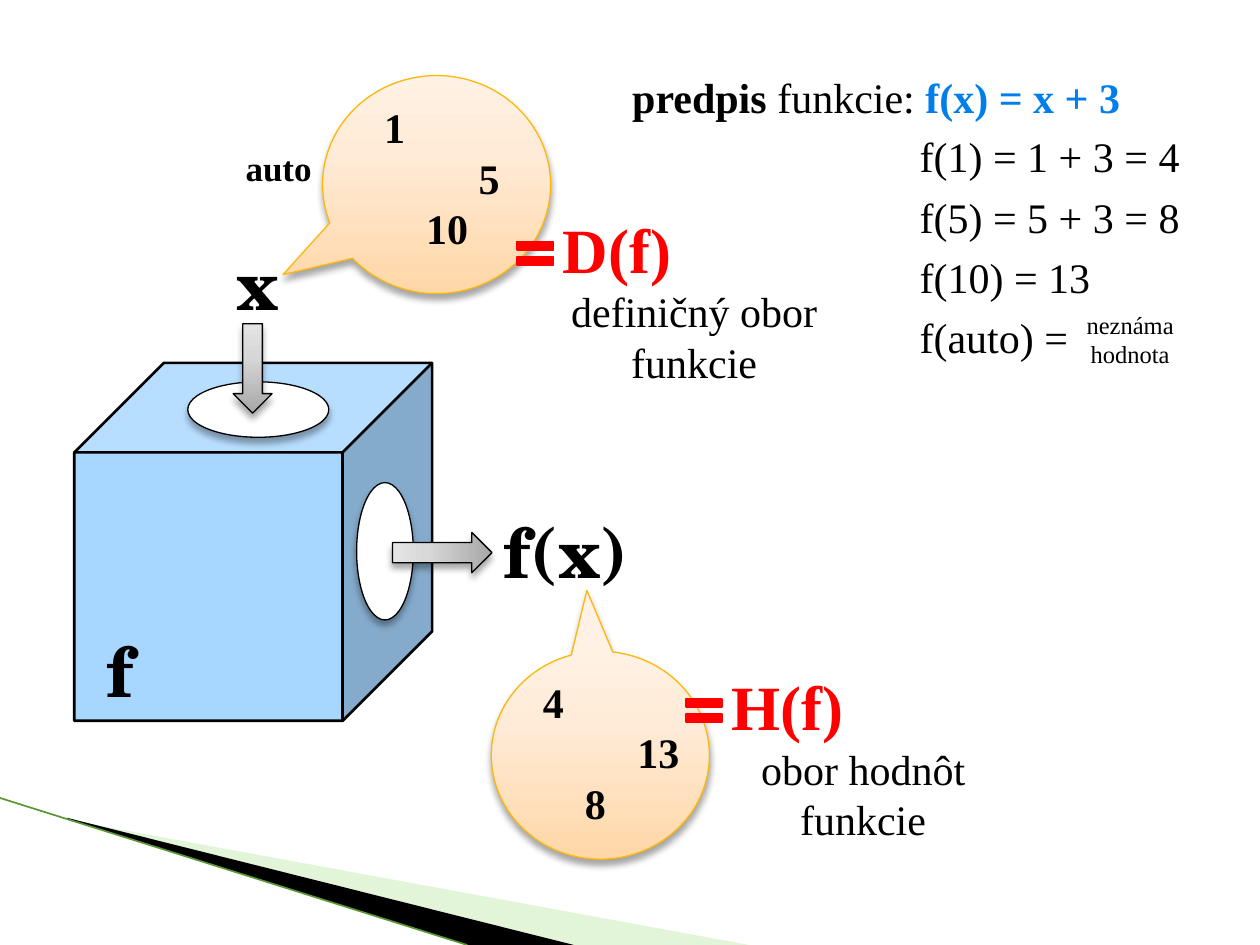
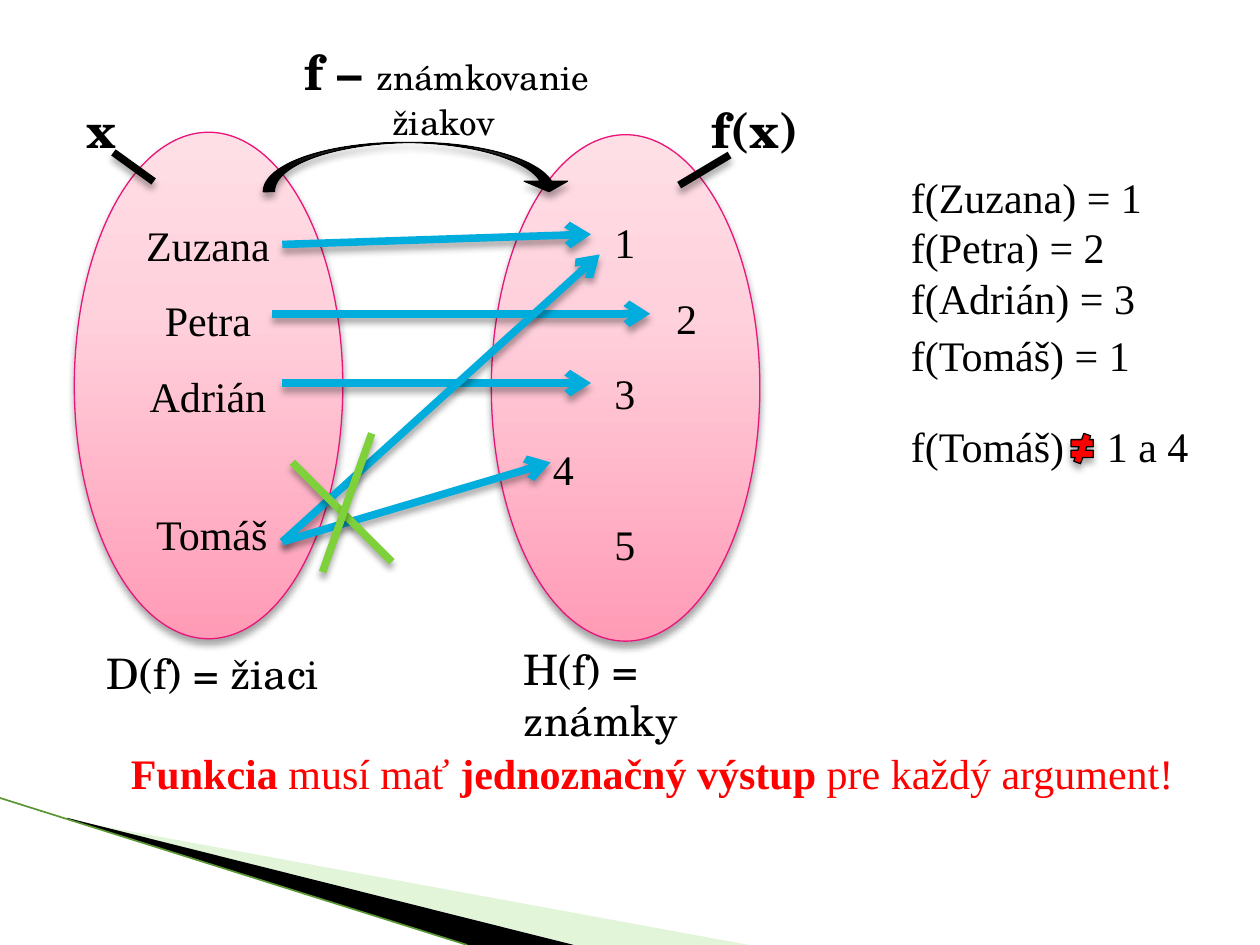
from lxml.etree import SubElement
from pptx import Presentation
from pptx.dml.color import RGBColor
from pptx.enum.shapes import MSO_CONNECTOR, MSO_SHAPE
from pptx.enum.text import PP_ALIGN
from pptx.oxml.ns import qn
from pptx.util import Pt

# Shared look
SERIF, SCHOOL = "Times New Roman", "TeX Gyre Schola"
BLACK, WHITE, RED = "000000", "FFFFFF", "FF0000"
FORMULA_BLUE, ARROW_BLUE, CROSS_GREEN = "007EEB", "00ADDC", "7FD13B"
CUBE_BLUE, ORANGE, PINK = "A7D6FF", "FEB80A", "EA157A"
GREY_BLEND = [(0, "A7A7A7"), (65, "D8D8D8"), (100, "E4E4E4")]
ORANGE_BLEND = [(0, "FFD7A7"), (65, "FFEBD7"), (100, "FFF1E3")]
PINK_BLEND = [(0, "FF9BB6"), (65, "FFD1DC"), (100, "FFDFE6")]
BLACK_BLEND = [(0, BLACK), (50, BLACK), (70, "1D1D1D"), (100, "424242")]
THICK = 4.33

# Corner bands: outline, colour, opacity in percent
BANDS = [
    ([(39.6, 468.7), (428, 540), (328.3, 540), (39.6, 468)], "B8E7A1", 40),
    ([(38.2, 467.3), (328, 540), (267.5, 540), (38.9, 468)], BLACK, 100),
]
BAND_EDGE, BAND_EDGE_COLOR = ((0, 456), (267, 540)), "5A9632"

# Slide 1: a function as a machine
RULE = [("predpis", {"bold": True}), (" funkcie: ", {}),
        ("f(x) = x + 3", {"bold": True, "color": FORMULA_BLUE})]
RESULTS = ["f(1) = 1 + 3 = 4", "f(5) = 5 + 3 = 8", "f(10) = 13", "f(auto) ="]
UNKNOWN = "neznáma hodnota"
MACHINE_LABELS = [
    ("x", (121.7, 133.9, 51.1), PP_ALIGN.CENTER),
    ("f(x)", (280.8, 287.3, 90.7), None),
    ("f", (54, 355, 39.6), None),
]
# Callout frame, pointer, numbers, numbers' place, set name, meaning, name's place
SETS = [
    ((184.3, 43.2, 130.3, 124.6), (-0.673, 0.413), ["1", "5", "10"],
     (212.4, 54.7), "D(f)", "definičný obor funkcie", (314.6, 116.6)),
    ((280.8, 372.2, 124.6, 118.8), (-0.062, -0.793), ["4", "13", "8"],
     (303.1, 383), "H(f)", "obor hodnôt funkcie", (411.1, 378)),
]
NUMBER_INDENTS = [0, 54, 24]

# Slide 2: pupils and their marks
# Oval corner, label, label's place, tick ends
OVALS = [
    ((42.5, 75.6), "x", (42.5, 53.3, 45.4), ((64.8, 87.1), (87.8, 103.7))),
    ((280.8, 77), "f(x)", (399.6, 53.3, 79.2), ((416.9, 88.6), (388.1, 105.8))),
]
PUPILS = ["Zuzana", "Petra", "Adrián"]
MARKS = [("1", PP_ALIGN.CENTER), ("2", PP_ALIGN.RIGHT), ("3", PP_ALIGN.CENTER),
         ("4", PP_ALIGN.LEFT), ("5", PP_ALIGN.CENTER)]
MAPPING = [[("f – ", {"size": 28, "bold": True}), ("známkovanie", {})], "žiakov"]
VALUES = ["f(Zuzana) = 1", "f(Petra) = 2", "f(Adrián) = 3"]
CONCLUSION = [("Funkcia", {"bold": True}), (" musí mať ", {}),
              ("jednoznačný výstup ", {"bold": True}), ("pre každý argument!", {})]
TOMAS_START = (161.3, 309.6)
ARROWS = [
    ((161.3, 139.7), (337.7, 133.9)),
    ((155.5, 179.3), (371.5, 179.3)),
    ((161.3, 218.9), (337.7, 218.9)),
    (TOMAS_START, (342.7, 145.4)),
    (TOMAS_START, (314.6, 264.2)),
]
CROSS = [((167, 264.2), (223.9, 321.1)), ((212.4, 247.7), (184.3, 326.9))]


def rgb(color):
    return RGBColor.from_string(color)


def points(values):
    return [Pt(value) for value in values]


def set_effects(shape, shadow):
    """Replace the theme effects by a soft shadow or by none."""
    properties = shape._element.spPr
    effects = SubElement(properties, qn("a:effectLst"))
    if shadow:
        outer = SubElement(effects, qn("a:outerShdw"), blurRad=str(Pt(4)),
                           dist=str(Pt(3)), dir="5400000", rotWithShape="0")
        tint = SubElement(outer, qn("a:srgbClr"), val=BLACK)
        SubElement(tint, qn("a:alpha"), val="35000")


def paint(shape, fill, line=None, weight=0.75, shadow=False):
    """Fill is one colour, or a list of gradient stops from the bottom up."""
    if isinstance(fill, str):
        shape.fill.solid()
        shape.fill.fore_color.rgb = rgb(fill)
    else:
        shape.fill.gradient()
        shape.fill.gradient_angle = 90
        stops = shape._element.spPr.find(qn("a:gradFill")).find(qn("a:gsLst"))
        for stop in list(stops):
            stops.remove(stop)
        for position, color in fill:
            stop = SubElement(stops, qn("a:gs"), pos=str(position * 1000))
            SubElement(stop, qn("a:srgbClr"), val=color)
    if line:
        shape.line.color.rgb = rgb(line)
        shape.line.width = Pt(weight)
    else:
        shape.line.fill.background()
    set_effects(shape, shadow)


def add_figure(page, kind, frame, fill, line, weight=0.75, shadow=True,
               turn=0, adjust=()):
    shape = page.shapes.add_shape(kind, *points(frame))
    shape.rotation = turn
    for index, value in enumerate(adjust):
        shape.adjustments[index] = value
    paint(shape, fill, line, weight, shadow)


def add_line(page, ends, color, weight=THICK, shadow=True, arrow=False):
    start, end = ends
    line = page.shapes.add_connector(MSO_CONNECTOR.STRAIGHT, *points(start + end))
    line.line.color.rgb = rgb(color)
    line.line.width = Pt(weight)
    if arrow:
        SubElement(line._element.spPr.find(qn("a:ln")), qn("a:tailEnd"), type="arrow")
    set_effects(line, shadow)


def style_font(font, size=None, name=None, color=None, bold=None):
    if size:
        font.size = Pt(size)
    if name:
        font.name = name
    if color:
        font.color.rgb = rgb(color)
    if bold is not None:
        font.bold = bold


def write(para, content, size=24, name=SERIF, color=BLACK, bold=False,
          align=None, spacing=None, indent=0, tab=None):
    """Content is a string, or a list of (text, font changes)."""
    if align is not None:
        para.alignment = align
    if spacing:
        para.line_spacing = spacing
    properties = para._p.get_or_add_pPr()
    if indent:
        properties.set("marL", str(Pt(indent)))
    if tab:
        stops = SubElement(properties, qn("a:tabLst"))
        SubElement(stops, qn("a:tab"), pos=str(Pt(tab)), algn="l")
    style_font(para.font, size, name, color, bold)
    runs = [(content, {})] if isinstance(content, str) else content
    for text, changes in runs:
        span = para.add_run()
        span.text = text
        style_font(span.font, **changes)


def add_text(page, place, lines, height=36.7, wrap=True, **style):
    """Each line is its content, or a pair of content and own style."""
    box = page.shapes.add_textbox(*points((*place, height)))
    frame = box.text_frame
    frame.word_wrap = wrap
    for index, line in enumerate(lines):
        content, own = line if isinstance(line, tuple) else (line, {})
        para = frame.add_paragraph() if index else frame.paragraphs[0]
        write(para, content, **{**style, **own})


def add_page(deck):
    page = deck.slides.add_slide(deck.slide_layouts[6])
    for outline, color, opacity in BANDS:
        start, *rest = [points(corner) for corner in outline]
        builder = page.shapes.build_freeform(*start)
        builder.add_line_segments(rest, close=True)
        band = builder.convert_to_shape()
        paint(band, color)
        tint = band._element.spPr.find(qn("a:solidFill"))[0]
        SubElement(tint, qn("a:alpha"), val=str(opacity * 1000))
    add_line(page, BAND_EDGE, BAND_EDGE_COLOR, 0.95, shadow=False)
    return page


def build_machine(deck):
    page = add_page(deck)

    # Cube with its holes and arrows
    add_figure(page, MSO_SHAPE.CUBE, (42.5, 207.4, 204.5, 204.5), CUBE_BLUE,
               BLACK, 1.5, shadow=False)
    add_figure(page, MSO_SHAPE.OVAL, (107.3, 218.2, 80.6, 31.7), WHITE, BLACK)
    add_figure(page, MSO_SHAPE.OVAL, (180.7, 298.8, 78.5, 32.4), WHITE, BLACK, turn=90)
    add_figure(page, MSO_SHAPE.DOWN_ARROW, (133.2, 185, 22.3, 51.1), GREY_BLEND, BLACK)
    add_figure(page, MSO_SHAPE.DOWN_ARROW, (241.2, 287.3, 23, 56.9), GREY_BLEND,
               BLACK, turn=270)
    for label, place, align in MACHINE_LABELS:
        add_text(page, place, [label], 55.4, size=40, name=SCHOOL, bold=True, align=align)

    # Rule and results
    add_text(page, (354.2, 37.4, 311.8), [RULE])
    for row, result in enumerate(RESULTS):
        add_text(page, (518.4, 71.3 + 34.4 * row, 181.4), [result])
    add_text(page, (609.1, 173.5, 73.4), [UNKNOWN], 41, size=14, align=PP_ALIGN.CENTER)

    # Callouts with the two sets
    for frame, pointer, numbers, (left, top), name, meaning, (x, y) in SETS:
        add_figure(page, MSO_SHAPE.OVAL_CALLOUT, frame, ORANGE_BLEND, ORANGE,
                   adjust=pointer)
        lines = [(number, {"indent": indent})
                 for number, indent in zip(numbers, NUMBER_INDENTS)]
        add_text(page, (left, top, 136.1), lines, 94.3, bold=True)
        add_text(page, (x, y, 164.2),
                 [(name, {"size": 36, "color": RED, "bold": True}),
                  (meaning, {"align": PP_ALIGN.CENTER})], 109)
        add_figure(page, MSO_SHAPE.MATH_EQUAL, (x - 22.7, y + 11.2, 28.1, 33.8), RED,
                   RED, 1, shadow=False, adjust=(0.14, 0.118))
    add_text(page, (133.2, 79.9, 56.9), ["auto"], 31.7, size=20, bold=True)


def build_pupils(deck):
    page = add_page(deck)

    # Two sets
    for corner, label, place, tick in OVALS:
        add_figure(page, MSO_SHAPE.OVAL, (*corner, 153.4, 289.4), PINK_BLEND, PINK)
        add_text(page, place, [label], 41, size=28, name=SCHOOL, bold=True)
        add_line(page, tick, BLACK)

    # Name of the mapping
    add_figure(page, MSO_SHAPE.CURVED_DOWN_ARROW, (150.5, 81.4, 175.7, 28.1),
               BLACK_BLEND, BLACK, adjust=(0.225, 0.882, 0.212))
    first, second = MAPPING
    add_text(page, (167, 20.2, 181.4), [first, (second, {"indent": 50})], 65.5,
             size=20, name=SCHOOL)
    add_text(page, (54, 366.5, 141.8), ["D(f) = žiaci"], name=SCHOOL)
    add_text(page, (292.3, 364.3, 169.9), ["H(f) = známky"], name=SCHOOL)

    # Members of the sets
    add_text(page, (70.6, 107.3, 96.5), PUPILS, 138.2, align=PP_ALIGN.CENTER, spacing=1.5)
    add_text(page, (308.9, 105.8, 96.5),
             [(mark, {"align": align}) for mark, align in MARKS], 225.4, spacing=1.5)
    add_text(page, (82.1, 287.3, 85), ["Tomáš"])

    # Values and conclusion
    add_text(page, (513.4, 94.3, 181.4), VALUES, 94.3)
    add_text(page, (513.4, 185, 140.4), ["f(Tomáš) = 1"], wrap=False)
    add_text(page, (513.4, 236.9, 181.4), ["f(Tomáš)\t1 a 4"], tab=112)
    add_figure(page, MSO_SHAPE.MATH_NOT_EQUAL, (609.8, 247.7, 17.3, 17.3), RED, BLACK)
    add_text(page, (67.7, 423.4, 632.2), [CONCLUSION], color=RED)

    # Arrows and the crossed-out pair
    for ends in ARROWS:
        add_line(page, ends, ARROW_BLUE, arrow=True)
    for ends in CROSS:
        add_line(page, ends, CROSS_GREEN)


def main():
    deck = Presentation()
    deck.slide_width, deck.slide_height = Pt(720), Pt(540)
    build_machine(deck)
    build_pupils(deck)
    deck.save("out.pptx")


if __name__ == "__main__":
    main()
